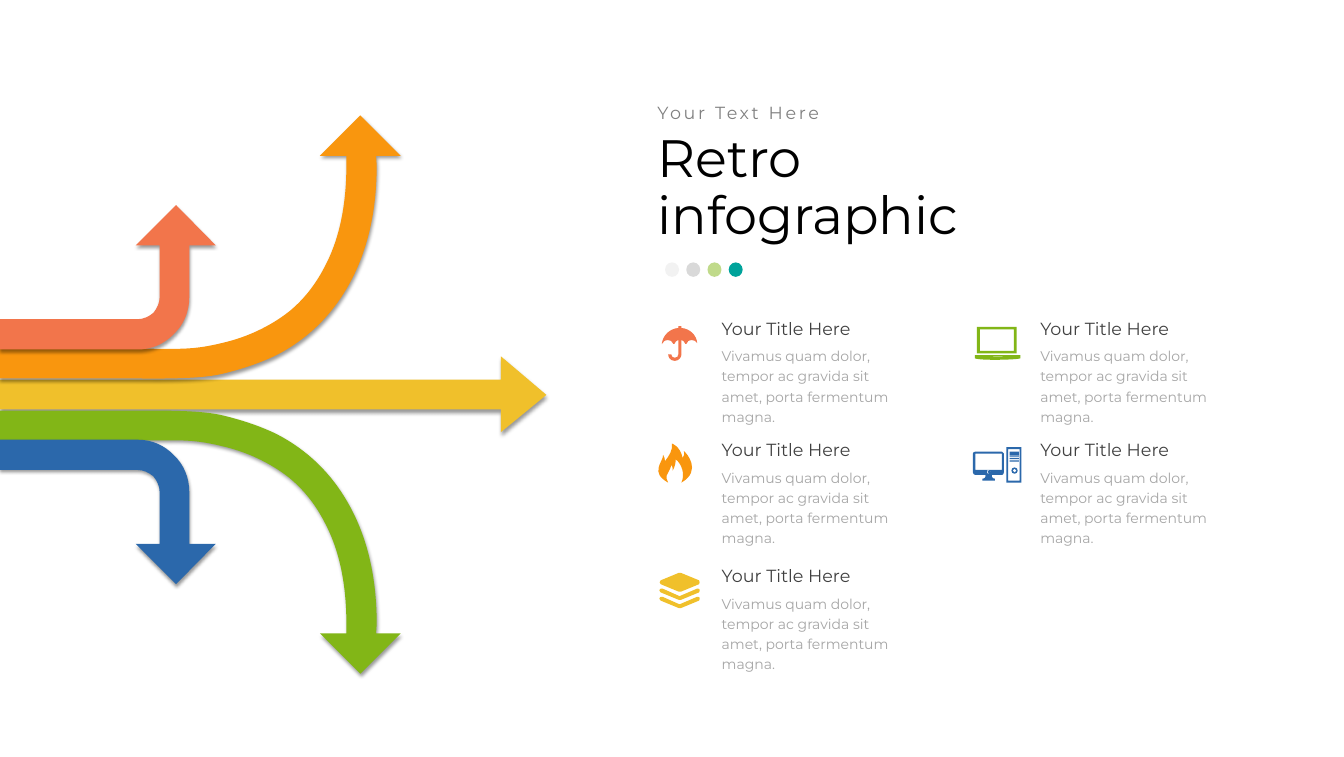
from lxml import etree
from pptx import Presentation
from pptx.dml.color import RGBColor
from pptx.enum import shapes, text
from pptx.oxml.ns import qn
from pptx.util import Pt

FONT = "Montserrat"
UNIT = Pt(0.72)  # grid unit of every outline
MIRROR = 1251    # y + mirrored y of the arrows, in grid units
CORAL, ORANGE, YELLOW, GREEN, BLUE = "F2754B", "F9960E", "F0C02B", "82B617", "2B68AB"

KICKER = "Your Text Here"
TITLE = "Retro\ninfographic"
ITEM_TITLE = "Your Title Here"
ITEM_BODY = "Vivamus quam dolor, tempor ac gravida sit amet, porta fermentum magna."
DOTS = [("F2F2F2", 100), ("D9D9D9", 98), (GREEN, 50), ("00A39B", 100)]


def ring(steps):
    """Closed outline from comma-separated steps: two numbers a line, six a curve."""
    return [tuple(map(int, step.split())) for step in steps.split(",")]


def map_y(outline, rule):
    return [tuple(rule(value) if index % 2 else value for index, value in enumerate(step))
            for step in outline]


def box(left, top, right, bottom):
    return [(left, top), (right, top), (right, bottom), (left, bottom)]


def circle(x, y, radius):
    k = 0.55 * radius
    return [(x + radius, y),
            (x + radius, y + k, x + k, y + radius, x, y + radius),
            (x - k, y + radius, x - radius, y + k, x - radius, y),
            (x - radius, y - k, x - k, y - radius, x, y - radius),
            (x + k, y - radius, x + radius, y - k, x + radius, y)]


STRAIGHT = ring("794 685, 866 626, 794 565, 794 602, 0 602, 0 649, 794 649")
WIDE_BEND = ring(
    "635 247, 571 183, 507 247, 549 247, 549 262, 549 333 535 385 514 424,"
    "499 453 480 476 458 494, 426 519 389 535 355 543, 323 551 302 553 276 553,"
    "0 552, 0 600, 221 600, 311 601 338 596 355 592, 379 586 406 578 434 565,"
    "475 545 516 512 546 463, 577 413 597 348 597 262, 596 247")
TIGHT_BEND = ring(
    "279 325, 215 389, 253 389, 253 471, 253 480 249 489 243 496,"
    "236 502 227 506 218 506, 0 506, 0 554, 218 554, 241 554 261 545 276 529,"
    "291 515 300 494 300 471, 300 389, 342 389")
ARROWS = [  # outline, colour, mirrored
    (STRAIGHT, YELLOW, False),
    (WIDE_BEND, ORANGE, False), (WIDE_BEND, GREEN, True),
    (TIGHT_BEND, CORAL, False), (TIGHT_BEND, BLUE, True),
]

UMBRELLA = [ring(
    "56 27, 55 14 44 4 31 3, 31 0, 26 0, 26 3, 13 4 2 14 0 27, 0 29 0 29 1 27,"
    "2 24 6 22 9 22, 13 22 17 24 18 28, 19 29 19 29 20 28, 21 25 23 23 26 22,"
    "26 45, 26 48 24 50 21 50, 20 50, 17 50 15 48 15 45, 10 45, 10 50 14 55 20 55,"
    "21 55, 26 55 31 50 31 45, 31 22, 34 23 36 25 37 28, 38 29 38 29 39 28,"
    "40 24 43 22 47 22, 51 22 54 24 56 27")]
FLAME = [ring(
    "17 62, 12 53 15 48 18 44, 21 39 22 34 22 34, 22 34 25 37 24 43,"
    "28 37 29 29 29 25, 39 33 44 49 38 62, 71 43 46 15 42 12, 43 15 43 20 40 23,"
    "36 4 23 0 23 0, 25 10 18 20 12 28, 12 24 11 22 9 18, 9 25 3 31 2 38,"
    "0 47 3 54 17 62")]
CHEVRON = ring(
    "3 25, 5 25, 32 37, 60 25, 61 25, 63 25 64 26 64 28, 64 29 64 30 63 31,"
    "34 43, 33 43 32 43 31 43, 2 31, 1 30 0 29 0 28, 0 26 2 25 3 25")
LAYERS = [
    ring("63 18, 34 30, 33 30 32 30 31 30, 2 18, 0 17 0 13 2 12, 31 0,"
         "32 0 33 0 34 0, 63 12, 64 13 64 17 63 18"),
    CHEVRON, map_y(CHEVRON, lambda y: y + 13)]
LAPTOP = [box(29, 46, 44, 47), ring("0 45, 0 50, 10 54 70 52 72 50, 72 45"),
          box(8, 4, 62, 38), box(3, 0, 66, 42)]
COMPUTER = [
    circle(25, 39, 2), circle(25, 39, 3), box(4, 10, 46, 36),
    ring("49 10, 49 40, 49 42 48 44 46 44, 30 44, 30 44 29 50 35 50, 35 53, 15 53,"
         "15 50, 21 50 20 44 20 44, 4 44, 2 44 0 42 0 40, 0 10, 0 8 2 7 4 7, 46 7,"
         "48 7 49 8 49 10"),
    box(53, 0, 77, 56), box(56, 3, 74, 53), circle(66, 37, 5), circle(66, 37, 3),
    box(58, 7, 73, 12), *(box(58, top, 73, top + 2) for top in (13, 17, 21))]

COLUMNS = [816.5, 1180]
ROWS = [354.2, 493.2, 636.5]
ITEMS = [  # column, row, icon, colour, icon left and top
    (0, 0, UMBRELLA, CORAL, 755.3, 372.2),
    (0, 1, FLAME, ORANGE, 750.2, 506.2),
    (0, 2, LAYERS, YELLOW, 752.4, 653.8),
    (1, 0, LAPTOP, GREEN, 1112.4, 373),
    (1, 1, COMPUTER, BLUE, 1110.2, 510.5),
]


def paint(shape, color, alpha=100):
    shape.shadow.inherit = False
    shape.fill.solid()
    shape.fill.fore_color.rgb = RGBColor.from_string(color)
    shape.line.fill.background()
    if alpha < 100:
        tint = shape._element.spPr.find(".//" + qn("a:srgbClr"))
        etree.SubElement(tint, qn("a:alpha"), val=str(alpha * 1000))


def add_outline(slide, rings, color, left=0, top=0):
    """Draw closed rings as one freeform, turning each curve's three points into a Bézier."""
    builder = slide.shapes.build_freeform(*rings[0][0], scale=UNIT)
    for index, (start, *steps) in enumerate(rings):
        if index:
            builder.move_to(*start)
        points = [pair for step in steps for pair in zip(step[::2], step[1::2])]
        builder.add_line_segments(points, close=True)
    shape = builder.convert_to_shape(Pt(left), Pt(top))
    path = shape._element.find(".//" + qn("a:path"))
    lines = iter(path.findall(qn("a:lnTo")))
    for _, *steps in rings:
        for step in steps:
            segment = [next(lines) for _ in step[::2]]
            if len(segment) == 3:
                curve = etree.Element(qn("a:cubicBezTo"))
                segment[0].addprevious(curve)
                for line in segment:
                    curve.append(line[0])
                    path.remove(line)
    paint(shape, color)
    return shape


def add_drop_shadow(shape):
    effects = shape._element.spPr.find(qn("a:effectLst"))
    shadow = etree.SubElement(effects, qn("a:outerShdw"), blurRad=str(Pt(4)), dist=str(Pt(3)),
                              dir="5400000", algn="t", rotWithShape="0")
    black = etree.SubElement(shadow, qn("a:srgbClr"), val="000000")
    etree.SubElement(black, qn("a:alpha"), val="40000")


def write(shape, content, size, color, spacing):
    frame = shape.text_frame
    frame.text = content
    frame.word_wrap = True
    frame.auto_size = text.MSO_AUTO_SIZE.NONE
    frame.vertical_anchor = text.MSO_ANCHOR.TOP
    for paragraph in frame.paragraphs:
        paragraph.alignment = text.PP_ALIGN.LEFT
        paragraph.line_spacing = spacing
        paragraph.space_before = Pt(0)
        paragraph.font.name = FONT
        paragraph.font.size = Pt(size)
        paragraph.font.color.rgb = RGBColor.from_string(color)
    return frame


def add_text(slide, left, top, width, height, *style):
    textbox = slide.shapes.add_textbox(Pt(left), Pt(top), Pt(width), Pt(height))
    return write(textbox, *style)


def main():
    presentation = Presentation()
    presentation.slide_width, presentation.slide_height = Pt(1533.6), Pt(864)
    slide = presentation.slides.add_slide(presentation.slide_layouts[5])

    for outline, color, mirrored in ARROWS:
        if mirrored:
            outline = map_y(outline, lambda y: MIRROR - y)
        add_drop_shadow(add_outline(slide, [outline], color))

    for column, row, icon, color, left, top in ITEMS:
        x, y = COLUMNS[column], ROWS[row]
        add_text(slide, x, y, 232.6, 36, ITEM_TITLE, 20, "404040", 1.2)
        add_text(slide, x, y + 35.3, 232.6, 77, ITEM_BODY, 16, "A6A6A6", 1.2)
        add_outline(slide, icon, color, left, top)

    title = slide.shapes.title
    title.left, title.top, title.width, title.height = Pt(743), Pt(147.6), Pt(371.5), Pt(141.8)
    write(title, TITLE, 60, "000000", 0.9)
    kicker = add_text(slide, 743, 115.2, 226, 31.7, KICKER, 20, "808080", 0.9)
    kicker.paragraphs[0].font._element.set("spc", "300")

    for index, (color, alpha) in enumerate(DOTS):
        dot = slide.shapes.add_shape(shapes.MSO_SHAPE.OVAL, Pt(758.9 + 24.2 * index),
                                     Pt(299.5), Pt(16), Pt(16.5))
        paint(dot, color, alpha)

    presentation.save("out.pptx")


if __name__ == "__main__":
    main()
